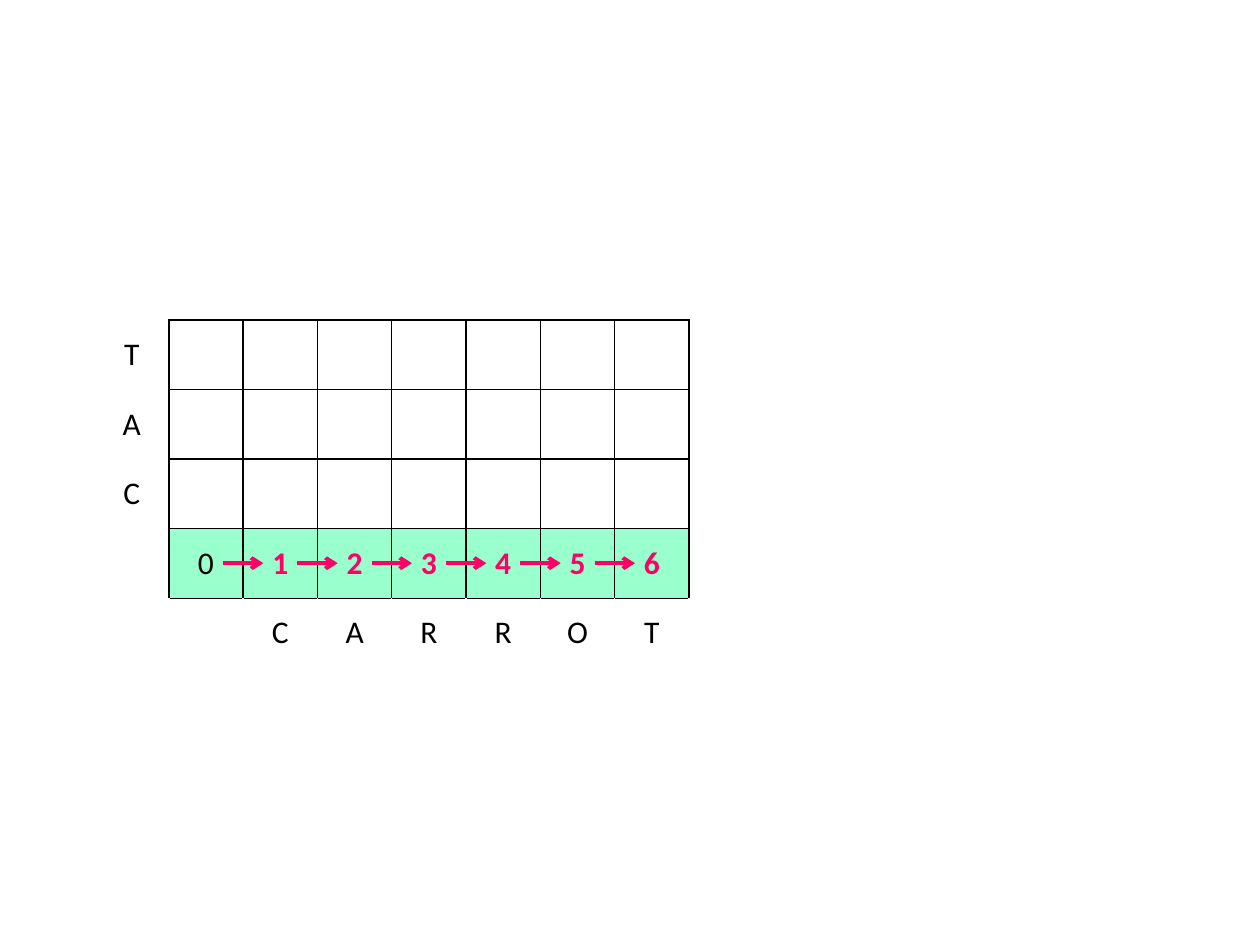
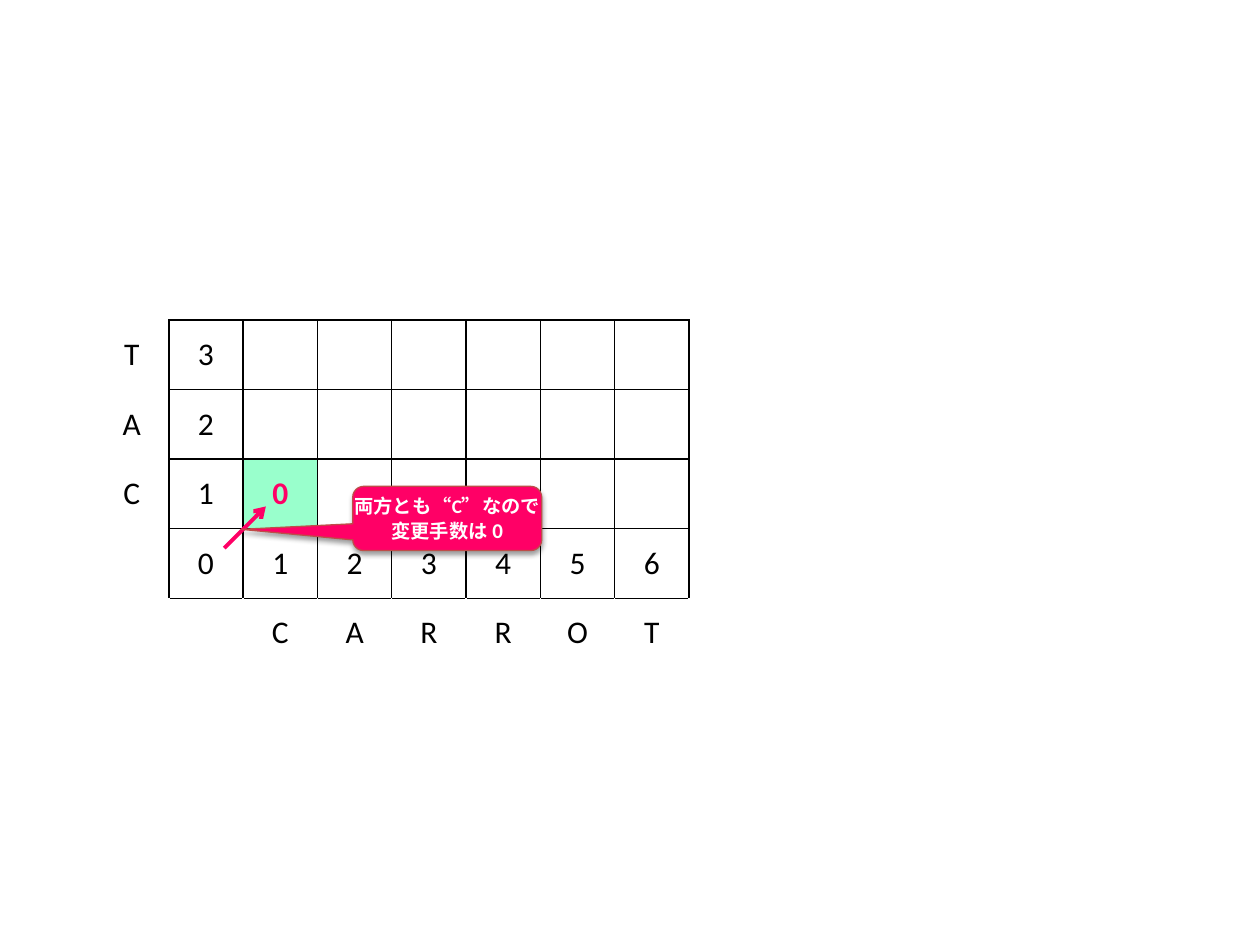
from lxml import etree
from pptx import Presentation
from pptx.dml.color import RGBColor
from pptx.enum.shapes import MSO_CONNECTOR, MSO_SHAPE
from pptx.enum.text import MSO_ANCHOR, PP_ALIGN
from pptx.oxml import parse_xml
from pptx.oxml.ns import nsdecls, qn
from pptx.util import Inches, Pt

STRAIGHT = MSO_CONNECTOR.STRAIGHT
CALLOUT = MSO_SHAPE.ROUNDED_RECTANGULAR_CALLOUT
MIDDLE = MSO_ANCHOR.MIDDLE
CENTER = PP_ALIGN.CENTER

COLORS = {
    "ink": "000000",
    "paper": "FFFFFF",
    "accent": "FF0066",
    "highlight": "99FFCC",
    "callout_edge": "BF4C48",
}
FONT = "Calibri"
SIDE_WORD, BOTTOM_WORD = "TAC", "CARROT"
ROWS, COLUMNS = len(SIDE_WORD) + 2, len(BOTTOM_WORD) + 2
BASE_ROW = ROWS - 2                      # the lowest row of the grid
LEFT, TOP = 0.75, 2.54
CELL_WIDTH = 0.59


def add_grid(page, values, active):
    """Draw the distance table; active cells are highlighted."""
    frame = page.shapes.add_table(
        ROWS, COLUMNS, Inches(LEFT), Inches(TOP),
        Inches(CELL_WIDTH * COLUMNS), Inches(2.76))
    table = frame.table
    table.first_row = table.horz_banding = False
    texts = dict(values)
    texts.update({(row, 0): letter for row, letter in enumerate(SIDE_WORD)})
    texts.update({(ROWS - 1, column): letter
                  for column, letter in enumerate(BOTTOM_WORD, 2)})

    for row in range(ROWS):
        for column in range(COLUMNS):
            cell = table.cell(row, column)
            cell.vertical_anchor = MIDDLE
            para = cell.text_frame.paragraphs[0]
            para.text = texts.get((row, column), "")
            para.alignment = CENTER
            para.font.size = Pt(18)
            for span in para.runs:
                span.font.name = FONT
                span.font.size = Pt(18)
                marked = (row, column) in active and column > 1
                span.font.bold = marked
                span.font.color.rgb = RGBColor.from_string(
                    COLORS["accent" if marked else "ink"])
            if (row, column) in active:
                cell.fill.solid()
                cell.fill.fore_color.rgb = RGBColor.from_string(COLORS["highlight"])
            else:
                cell.fill.background()

            # Label cells show a black edge only where they meet the grid
            in_grid = column > 0 and row <= BASE_ROW
            black = {
                "lnL": in_grid,
                "lnR": in_grid or (column == 0 and row <= BASE_ROW),
                "lnT": in_grid or (column > 0 and row > BASE_ROW),
                "lnB": in_grid,
            }
            properties = cell._tc.get_or_add_tcPr()
            for index, (edge, is_black) in enumerate(black.items()):
                color = COLORS["ink" if is_black else "paper"]
                properties.insert(index, parse_xml(
                    f'<a:{edge} {nsdecls("a")} w="12700"><a:solidFill>'
                    f'<a:srgbClr val="{color}"/></a:solidFill></a:{edge}>'))
    table.cell(BASE_ROW, 0).merge(table.cell(ROWS - 1, 0))


def add_arrow(page, start, end):
    """Draw an accent arrow between two points in inches."""
    arrow = page.shapes.add_connector(
        STRAIGHT, *[Inches(length) for length in start + end])
    arrow.line.color.rgb = RGBColor.from_string(COLORS["accent"])
    arrow.line.width = Pt(2.25)
    line = arrow.line._get_or_add_ln()
    etree.SubElement(line, qn("a:tailEnd"), type="arrow")
    etree.SubElement(arrow._element.spPr, qn("a:effectLst"))


deck = Presentation()
deck.slide_width, deck.slide_height = Inches(10), Inches(7.5)
blank = deck.slide_layouts[6]
base_values = {(BASE_ROW, column): str(column - 1) for column in range(1, COLUMNS)}

# Slide 1: fill the base row step by step
page = deck.slides.add_slide(blank)
add_grid(page, base_values, active=set(base_values))
for step in range(len(BOTTOM_WORD)):
    x = 1.77 + step * CELL_WIDTH
    add_arrow(page, (x, 4.47), (x + 0.32, 4.47))

# Slide 2: matching letters cost nothing
page = deck.slides.add_slide(blank)
side_values = {(row, 1): str(BASE_ROW - row) for row in range(BASE_ROW)}
match = (BASE_ROW - 1, 2)
add_grid(page, {**base_values, **side_values, match: "0"}, active={match})
add_arrow(page, (1.78, 4.35), (2.11, 4.02))

# Callout explaining the match
callout = page.shapes.add_shape(
    CALLOUT, Inches(2.8), Inches(3.86), Inches(1.5), Inches(0.51))
for index, adjustment in enumerate((-1.09, 0.17, 0.17)):
    callout.adjustments[index] = adjustment
callout.fill.solid()
callout.fill.fore_color.rgb = RGBColor.from_string(COLORS["accent"])
callout.line.color.rgb = RGBColor.from_string(COLORS["callout_edge"])
callout.line.width = Pt(0.75)
callout.shadow.inherit = False
effects = callout._element.spPr.find(qn("a:effectLst"))
shadow = etree.SubElement(
    effects, qn("a:outerShdw"), blurRad=str(Pt(3.1)), dist=str(Pt(1.6)),
    dir="5400000", rotWithShape="0")
shade = etree.SubElement(shadow, qn("a:srgbClr"), val=COLORS["ink"])
etree.SubElement(shade, qn("a:alpha"), val="38000")

text_frame = callout.text_frame
text_frame.word_wrap = False
text_frame.vertical_anchor = MIDDLE
text_frame.margin_left = text_frame.margin_right = 0
text_frame.margin_top = text_frame.margin_bottom = 0
para = text_frame.paragraphs[0]
para.alignment = CENTER
# The wide quotes are set tighter so that the first line fits the box
for text, size, spacing in (("両方とも", 11, 0), (" “", 11, -200), ("C", 11, 0),
                            ("” ", 11, -200), ("なので", 11, 0), (None, 11, 0),
                            ("変更手数は ", 11, 0), ("0", 12, 0)):
    if text is None:
        para.add_line_break()
        continue
    span = para.add_run()
    span.text = text
    span.font.name = FONT
    span.font.size = Pt(size)
    span.font.bold = True
    span.font.color.rgb = RGBColor.from_string(COLORS["paper"])
    if spacing:
        span.font._element.set("spc", str(spacing))

deck.save("out.pptx")
